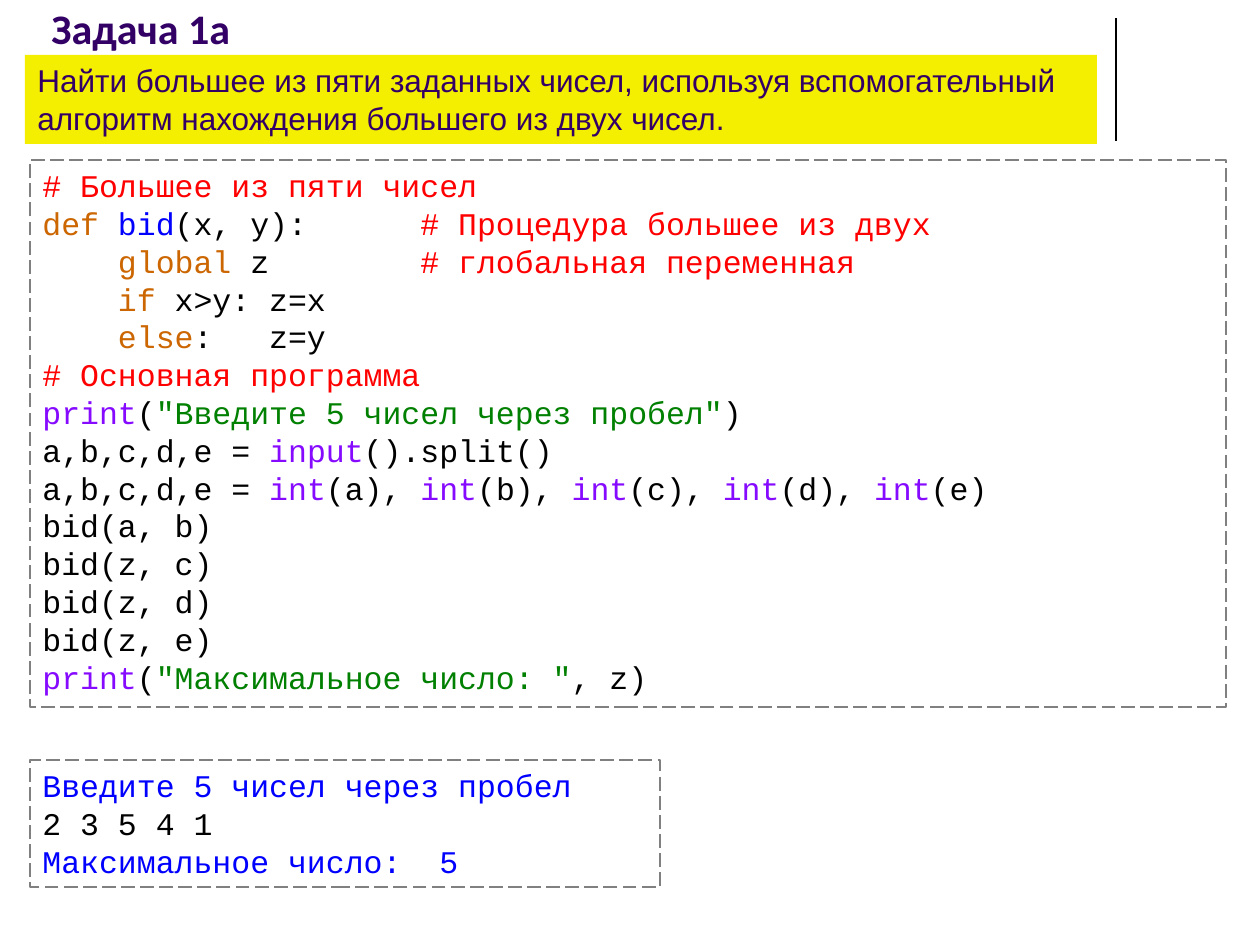
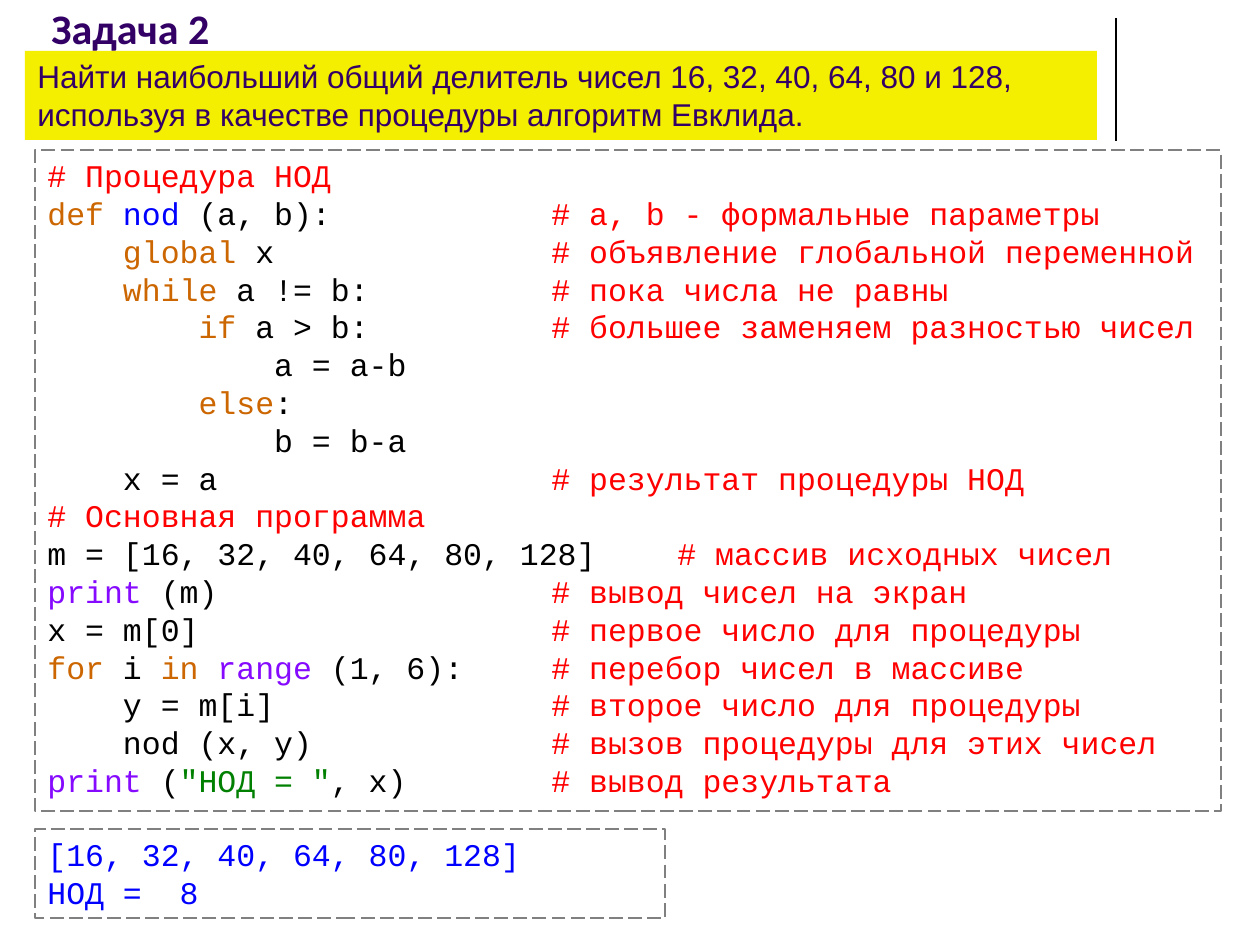
from dataclasses import dataclass
from itertools import groupby

from lxml import etree
from pptx import Presentation
from pptx import util as u
from pptx.dml.color import RGBColor
from pptx.enum import dml, shapes, text
from pptx.oxml import ns

SCALE = u.Inches(1) / 126


@dataclass(frozen=True)
class Theme:
    """Colours, fonts and type sizes shared by the slides."""
    ink: str = "330066"
    band: str = "F4EE00"
    paper: str = "FFFFFF"
    frame: str = "808080"
    plain: str = "000000"
    note: str = "FF0000"
    key: str = "CC6600"
    name: str = "0000FF"
    tool: str = "850AFF"
    quote: str = "008000"
    head: str = "Calibri"
    body: str = "Arial"
    mono: str = "Courier New"
    big: int = 24
    base: int = 18
    pitch: float = 21.6


T = Theme()
WORDS = dict.fromkeys(("def", "global", "if", "else", "while", "for", "in"), T.key)
WORDS |= dict.fromkeys(("print", "input", "int", "range"), T.tool)
CELL = u.Pt(T.base * 0.6)


def px(size):
    """Turn pixels into EMU."""
    return u.Emu(round(size * SCALE))


def rgb(tone):
    """Turn a hex string into a colour."""
    return RGBColor.from_string(tone)


def add_run(para, words, tone, font, size, bold=False):
    """Add one styled run to a paragraph."""
    run = para.add_run()
    run.text = words
    run.font.name, run.font.size, run.font.bold = font, u.Pt(size), bold
    run.font.color.rgb = rgb(tone)


def add_panel(slide, box, fill, framed=False):
    """Add a filled rectangle, dashed if framed, and return its text frame."""
    panel = slide.shapes.add_shape(shapes.MSO_SHAPE.RECTANGLE, *map(px, box))
    panel.shadow.inherit = False
    panel.fill.solid()
    panel.fill.fore_color.rgb = rgb(fill)
    if framed:
        panel.line.color.rgb = rgb(T.frame)
        panel.line.width = u.Pt(1)
        panel.line.dash_style = dml.MSO_LINE.LONG_DASH
    else:
        panel.line.fill.background()
    frame = panel.text_frame
    frame.word_wrap = True
    frame.vertical_anchor = text.MSO_ANCHOR.TOP
    return frame


def add_lines(frame, lines):
    """Yield a left-aligned paragraph with each line."""
    for n, line in enumerate(lines):
        para = frame.add_paragraph() if n else frame.paragraphs[0]
        para.alignment = text.PP_ALIGN.LEFT
        para.line_spacing = u.Pt(T.pitch)
        yield para, line


def set_tabs(para, stops):
    """Set the tab stops of a paragraph."""
    tabs = etree.SubElement(para._p.get_or_add_pPr(), ns.qn("a:tabLst"))
    for stop in stops:
        etree.SubElement(tabs, ns.qn("a:tab"), pos=str(int(stop)), algn="l")


def split_code(line):
    """Yield the coloured pieces of a line of code."""
    code, mark, note = line.partition("#")
    last = ""
    for n, part in enumerate(code.split('"')):
        if n % 2:
            yield T.quote, f'"{part}"'
            continue
        for is_word, chars in groupby(part, str.isalnum):
            word = "".join(chars)
            yield T.name if last == "def" else WORDS.get(word, T.plain), word
            last = word if is_word else last
    if mark:
        yield T.note, mark + note


def add_code(slide, box, lines, cols):
    """Add a code panel whose comments line up at the given columns."""
    for para, line in add_lines(add_panel(slide, box, T.paper, True), lines):
        if "\t" in line:
            depth = len(line) - len(line.lstrip("\t"))
            steps = depth if "#" in line else 3
            ends = map(px, cols) if "#" in line else ()
            set_tabs(para, [*(4 * CELL * (i + 1) for i in range(steps)), *ends])
        for tone, bits in groupby(split_code(line), lambda bit: bit[0]):
            add_run(para, "".join(bit[1] for bit in bits), tone, T.mono, T.base)


def add_output(slide, box, lines):
    """Add the panel with what the program prints and reads."""
    frame = add_panel(slide, box, T.paper, True)
    for para, (tone, words) in add_lines(frame, lines):
        add_run(para, words, tone, T.mono, T.base)


def add_head(slide, title, task, top):
    """Add the title, the side rule and the task band."""
    rule = slide.shapes.add_connector(
        shapes.MSO_CONNECTOR.STRAIGHT, *map(px, (1116, 18, 1116, 141)))
    rule.line.color.rgb = rgb(T.plain)
    rule.line.width = u.Pt(0.75)
    etree.SubElement(rule._element.spPr, ns.qn("a:effectLst"))
    frame = slide.shapes.add_textbox(*map(px, (39, 0, 1040, 59))).text_frame
    frame.word_wrap = True
    frame.vertical_anchor = text.MSO_ANCHOR.BOTTOM
    add_run(frame.paragraphs[0], title, T.ink, T.head, T.big, True)
    for para, words in add_lines(add_panel(slide, (25, top, 1072, 89), T.band), [task]):
        add_run(para, words, T.ink, T.body, T.base)


def add_task(deck, title, task, top, code_box, code, cols, out_box, output):
    """Add a slide with a task, its program and the output."""
    slide = deck.slides.add_slide(deck.slide_layouts[6])
    add_head(slide, title, task, top)
    add_code(slide, code_box, code, cols)
    add_output(slide, out_box, output)


MAX_CODE = [
    "# Большее из пяти чисел",
    "def bid(x, y):\t# Процедура большее из двух",
    "\tglobal z\t# глобальная переменная",
    "\tif x>y: z=x",
    "\telse:\tz=y",
    "# Основная программа",
    'print("Введите 5 чисел через пробел")',
    "a,b,c,d,e = input().split()",
    "a,b,c,d,e = int(a), int(b), int(c), int(d), int(e)",
    "bid(a, b)",
    "bid(z, c)",
    "bid(z, d)",
    "bid(z, e)",
    'print("Максимальное число: ", z)',
]
GCD_CODE = [
    "# Процедура НОД",
    "def nod (a, b):\t# a, b - формальные параметры",
    "\tglobal x\t# объявление глобальной переменной",
    "\twhile a != b:\t# пока числа не равны",
    "\t\tif a > b:\t# большее заменяем разностью чисел",
    "\t\t\ta = a-b",
    "\t\telse:",
    "\t\t\tb = b-a",
    "\tx = a\t# результат процедуры НОД",
    "# Основная программа",
    "m = [16, 32, 40, 64, 80, 128]\t# массив исходных чисел",
    "print (m)\t# вывод чисел на экран",
    "x = m[0]\t# первое число для процедуры",
    "for i in range (1, 6):\t# перебор чисел в массиве",
    "\ty = m[i]\t# второе число для процедуры",
    "\tnod (x, y)\t# вызов процедуры для этих чисел",
    'print ("НОД = ", x)\t# вывод результата',
]


def main():
    """Build and save the slides."""
    deck = Presentation()
    deck.slide_width, deck.slide_height = px(1260), px(945)
    add_task(
        deck, "Задача 1а",
        "Найти большее из пяти заданных чисел, используя вспомогательный "
        "алгоритм нахождения большего из двух чисел.",
        55, (30, 160, 1196, 547), MAX_CODE, (378,), (30, 760, 630, 127),
        [(T.name, "Введите 5 чисел через пробел"),
         (T.plain, "2 3 5 4 1"),
         (T.name, "Максимальное число:  5")])
    add_task(
        deck, "Задача 2",
        "Найти наибольший общий делитель чисел 16, 32, 40, 64, 80 и 128, "
        "используя в качестве процедуры алгоритм Евклида.",
        51, (35, 150, 1186, 661), GCD_CODE, (504, 630), (35, 829, 630, 89),
        [(T.name, "[16, 32, 40, 64, 80, 128]"), (T.name, "НОД =  8")])
    deck.save("out.pptx")


if __name__ == "__main__":
    main()
